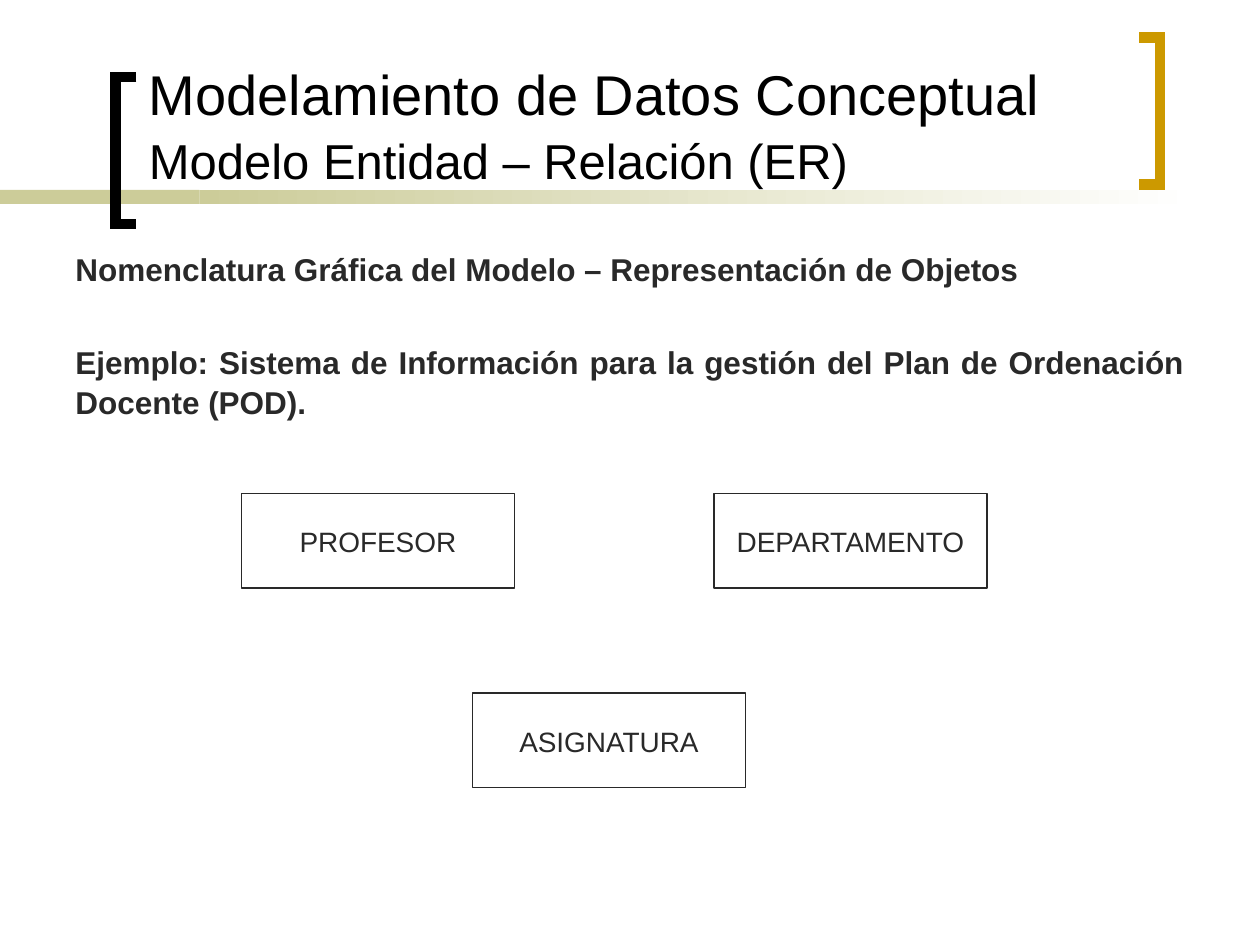
from dataclasses import dataclass
from lxml import etree
from pptx import Presentation
from pptx.dml.color import RGBColor
from pptx.enum.shapes import MSO_SHAPE
from pptx.enum.text import MSO_ANCHOR, PP_ALIGN
from pptx.oxml.ns import qn
from pptx.util import Pt

RECTANGLE = MSO_SHAPE.RECTANGLE
TOP, MIDDLE, BOTTOM = MSO_ANCHOR.TOP, MSO_ANCHOR.MIDDLE, MSO_ANCHOR.BOTTOM
LEFT, CENTER, JUSTIFY = PP_ALIGN.LEFT, PP_ALIGN.CENTER, PP_ALIGN.JUSTIFY


@dataclass(frozen=True)
class Theme:
    """Colours, font and type sizes of the slide."""
    font: str = "Arial"
    black: RGBColor = RGBColor(0, 0, 0)
    ink: RGBColor = RGBColor(0x29, 0x29, 0x29)
    sand: RGBColor = RGBColor(0xCC, 0xCC, 0x99)
    gold: RGBColor = RGBColor(0xCC, 0x99, 0)
    white: RGBColor = RGBColor(255, 255, 255)
    title: int = 32
    subtitle: int = 28
    body: int = 18
    entity: int = 16
    spacing: float = 1.05


THEME = Theme()
TITLE = [("Modelamiento de Datos Conceptual", THEME.title),
         ("Modelo Entidad – Relación (ER)", THEME.subtitle)]
BODY = [("Nomenclatura Gráfica del Modelo – Representación de Objetos", 0),
        ("Ejemplo: Sistema de Información para la gestión del Plan de "
         "Ordenación Docente (POD).", 30.75)]
ENTITIES = [("PROFESOR", 138, 282), ("DEPARTAMENTO", 408, 282),
            ("ASIGNATURA", 270, 396)]
ENTITY_SIZE = (156, 54)
BRACKET_SIZE = (12, 84)
BRACKETS = [("[", 66, 44, THEME.black), ("]", 651, 21.5, THEME.gold)]
BAND_TOP, BAND_HEIGHT, BAND_SPLIT, BAND_END = 108.5, 8, 114, 684


def add_text(para, text, *, size, color, bold=False, align=LEFT, before=0):
    """Add one formatted span to a paragraph."""
    para.alignment = align
    para.space_before = Pt(before)
    para.line_spacing = THEME.spacing
    span = para.add_run()
    span.text = text
    span.font.name = THEME.font
    span.font.size = Pt(size)
    span.font.bold = bold
    span.font.color.rgb = color


def add_box(page, left, top, width, height, anchor):
    """Add a wrapping text box and return its text frame."""
    box = page.shapes.add_textbox(Pt(left), Pt(top), Pt(width), Pt(height))
    box.text_frame.word_wrap = True
    box.text_frame.vertical_anchor = anchor
    return box.text_frame


def add_rectangle(page, left, top, width, height):
    """Add a rectangle without shadow, fill or line."""
    box = page.shapes.add_shape(RECTANGLE, Pt(left), Pt(top), Pt(width), Pt(height))
    box.shadow.inherit = False
    box.fill.background()
    box.line.fill.background()
    return box


def add_band(page):
    """Draw the rule: a solid start, then a fade to white."""
    solid = add_rectangle(page, 0, BAND_TOP, BAND_SPLIT, BAND_HEIGHT)
    solid.fill.solid()
    solid.fill.fore_color.rgb = THEME.sand
    fade = add_rectangle(page, BAND_SPLIT, BAND_TOP, BAND_END - BAND_SPLIT, BAND_HEIGHT)
    fade.fill.gradient()
    fade.fill.gradient_angle = 0
    for stop, color, position in zip(fade.fill.gradient_stops,
                                     (THEME.sand, THEME.white), (0, 1)):
        stop.color.rgb = color
        stop.position = position


def add_bracket(page, side, left, top, color):
    """Draw a square bracket as an open outline with sharp corners."""
    width, height = BRACKET_SIZE
    spine, tip = (left, left + width) if side == "[" else (left + width, left)
    points = [(Pt(x), Pt(y)) for x, y in
              ((tip, top), (spine, top), (spine, top + height), (tip, top + height))]
    outline = page.shapes.build_freeform(*points[0])
    outline.add_line_segments(points[1:], close=False)
    bracket = outline.convert_to_shape()
    bracket.shadow.inherit = False
    bracket.fill.background()
    bracket.line.color.rgb = color
    bracket.line.width = Pt(6)
    etree.SubElement(bracket.line._get_or_add_ln(), qn("a:miter"), lim="800000")


def add_entity(page, name, left, top):
    """Draw one entity as an outlined box with its name."""
    box = add_rectangle(page, left, top, *ENTITY_SIZE)
    box.line.color.rgb = THEME.ink
    box.line.width = Pt(0.75)
    box.text_frame.word_wrap = False
    box.text_frame.vertical_anchor = MIDDLE
    add_text(box.text_frame.paragraphs[0], name, size=THEME.entity,
             color=THEME.ink, align=CENTER)


def build():
    """Build and save the slide."""
    deck = Presentation()
    deck.slide_width, deck.slide_height = Pt(720), Pt(540)
    page = deck.slides.add_slide(deck.slide_layouts[6])
    add_band(page)
    for bracket in BRACKETS:
        add_bracket(page, *bracket)

    title = add_box(page, 78, 0, 576, 111.5, BOTTOM).paragraphs[0]
    for index, (text, size) in enumerate(TITLE):
        if index:
            title.add_line_break()
        add_text(title, text, size=size, color=THEME.black)

    body = add_box(page, 36, 138, 648, 108, TOP)
    for index, (text, before) in enumerate(BODY):
        para = body.add_paragraph() if index else body.paragraphs[0]
        add_text(para, text, size=THEME.body, color=THEME.ink, bold=True,
                 align=JUSTIFY, before=before)

    for entity in ENTITIES:
        add_entity(page, *entity)
    deck.save("out.pptx")


build()
